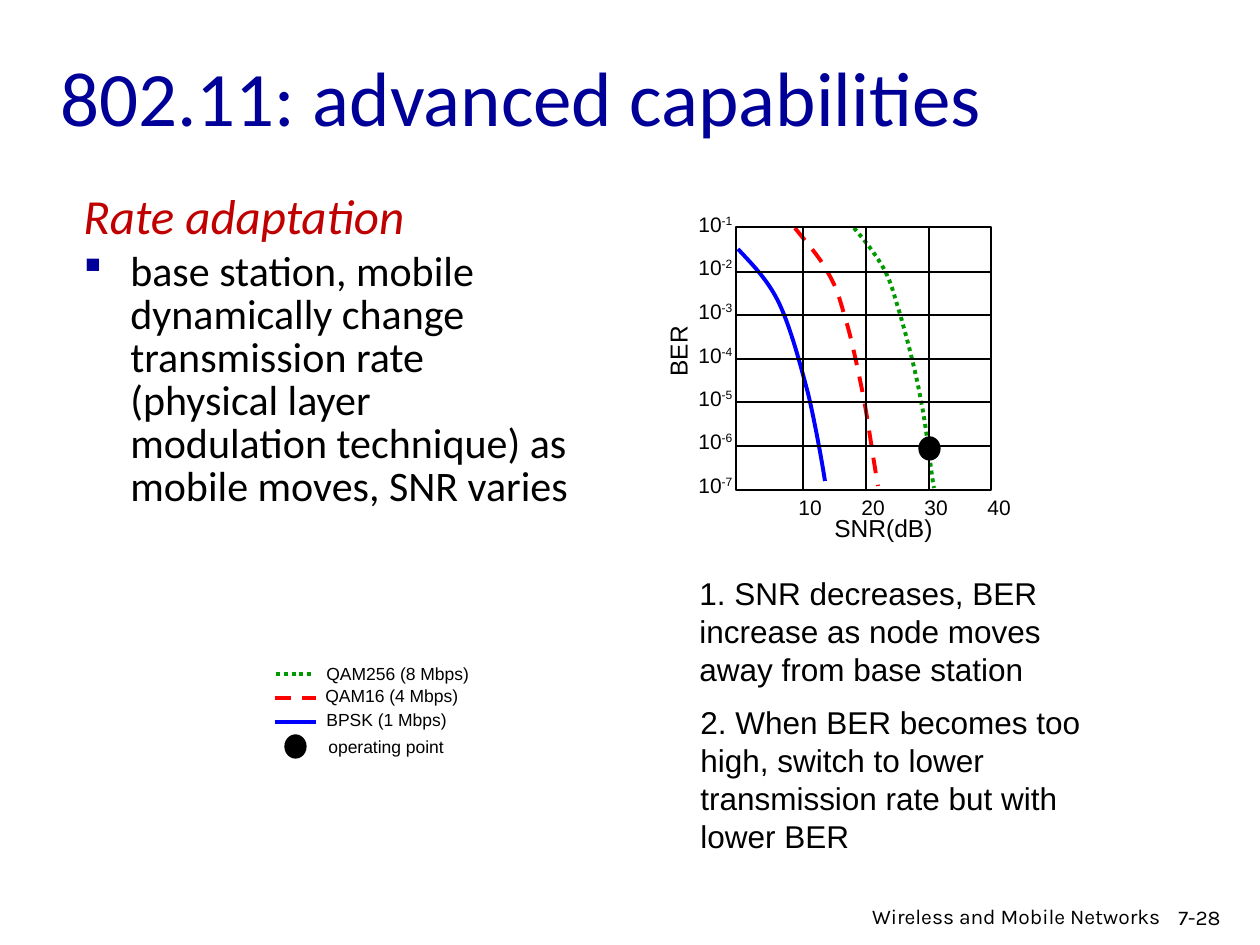
from lxml.etree import SubElement
from pptx import Presentation
from pptx.dml.color import RGBColor
from pptx.enum.dml import MSO_LINE_DASH_STYLE as Dash
from pptx.enum.shapes import MSO_CONNECTOR as Connector, MSO_SHAPE as Shape
from pptx.enum.text import MSO_ANCHOR as Anchor, MSO_AUTO_SIZE as AutoSize, PP_ALIGN as Align
from pptx.oxml.ns import qn
from pptx.util import Emu, Pt

SCALE = 914400 / 126
COLORS = {
    "title": "000099",
    "heading": "C00000",
    "text": "000000",
    "bpsk": "0000FF",
    "qam16": "FF0000",
    "qam256": "009900",
}
DASHES = {"qam16": Dash.DASH, "qam256": Dash.ROUND_DOT}
CURVES = {
    "bpsk": [(738, 249), (753, 265), (769, 281), (780, 305), (791, 329), (800, 363),
             (808, 393), (815, 422), (823, 467), (825, 481)],
    "qam16": [(795, 228), (806, 242), (819, 256), (827, 271), (835, 285), (838, 292),
              (844, 314), (851, 335), (858, 370), (864, 399), (869, 428), (873, 457),
              (878, 486)],
    "qam256": [(854, 228), (866, 242), (877, 256), (885, 271), (892, 285), (893, 292),
               (900, 314), (906, 335), (916, 372), (921, 401), (927, 430), (931, 474),
               (934, 488)],
}
LEGEND = [
    ("QAM256 (8 Mbps)", 314, 657, 170),
    ("QAM16 (4 Mbps)", 313, 679, 161),
    ("BPSK (1 Mbps)", 314, 703, 148),
    ("operating point", 316, 730, 144),
]
LEGEND_LINES = [("bpsk", 275, 316, 722), ("qam16", 275, 316, 698), ("qam256", 276, 314, 674)]
NOTES = [
    ("1. SNR decreases, BER increase as node moves away from base station",
     (687, 568, 441, 126)),
    ("2. When BER becomes too high, switch to lower transmission rate but with lower BER",
     (688, 697, 441, 164)),
]
PLOT = (736, 227, 255, 263)


def px(value):
    return Emu(round(value * SCALE))


def rgb(name):
    return RGBColor.from_string(COLORS[name])


def add_run(paragraph, text, size, font="Arial", color="text", italic=False):
    run = paragraph.add_run()
    run.text = text
    run.font.size = Pt(size)
    run.font.name = font
    run.font.italic = italic
    run.font.color.rgb = rgb(color)
    return run


def add_box(slide, box, wrap=True, grow=False):
    shape = slide.shapes.add_textbox(*map(px, box))
    shape.text_frame.word_wrap = wrap
    shape.text_frame.auto_size = AutoSize.SHAPE_TO_FIT_TEXT if grow else AutoSize.NONE
    return shape


def add_label(slide, text, box, size, superscript=""):
    shape = add_box(slide, box, wrap=False, grow=True)
    paragraph = shape.text_frame.paragraphs[0]
    add_run(paragraph, text, size)
    if superscript:
        run = add_run(paragraph, superscript, size)
        run.font._element.set("baseline", "30000")
    return shape


def style_line(line, color="text", width=0.75):
    line.color.rgb = rgb(color)
    line.width = Pt(width)
    if color in DASHES:
        line.dash_style = DASHES[color]


def add_line(slide, start, end, color="text", width=0.75):
    connector = slide.shapes.add_connector(Connector.STRAIGHT, *map(px, start + end))
    style_line(connector.line, color, width)
    SubElement(connector._element.spPr, qn("a:effectLst"))


def add_curve(slide, points, color):
    builder = slide.shapes.build_freeform(*points[0], scale=SCALE)
    builder.add_line_segments(points[1:], close=False)
    shape = builder.convert_to_shape()
    shape.shadow.inherit = False
    shape.fill.background()
    style_line(shape.line, color, 2.25)
    outline = next(shape._element.iter(qn("a:path")))
    segments = outline.findall(qn("a:lnTo"))
    for first in range(0, len(segments), 3):
        curve = SubElement(outline, qn("a:cubicBezTo"))
        for segment in segments[first:first + 3]:
            curve.append(segment[0])
            outline.remove(segment)


def add_shape(slide, kind, box, filled=False):
    shape = slide.shapes.add_shape(kind, *map(px, box))
    shape.shadow.inherit = False
    style_line(shape.line)
    if filled:
        shape.fill.solid()
        shape.fill.fore_color.rgb = rgb("text")
    else:
        shape.fill.background()


def add_title(slide):
    title = slide.shapes.title
    title.left, title.top, title.width, title.height = map(px, (48, 38, 1071, 116))
    title.text_frame.vertical_anchor = Anchor.MIDDLE
    title.text_frame.word_wrap = True
    paragraph = title.text_frame.paragraphs[0]
    paragraph.alignment = Align.LEFT
    add_run(paragraph, "802.11: advanced capabilities", 44, "Calibri", "title")


def add_bullet(properties):
    bullet_color = SubElement(properties, qn("a:buClr"))
    SubElement(bullet_color, qn("a:srgbClr"), val=COLORS["title"])
    SubElement(properties, qn("a:buFont"), typeface="Wingdings", charset="2")
    SubElement(properties, qn("a:buChar"), char="§")


def add_body(slide):
    frame = add_box(slide, (71, 188, 517, 640)).text_frame
    heading, bullet = frame.paragraphs[0], frame.add_paragraph()
    for paragraph, space in ((heading, 5.6), (bullet, 4.8)):
        paragraph.line_spacing = 0.85
        paragraph.space_before = Pt(space)
        properties = paragraph._p.get_or_add_pPr()
        properties.set("marL", str(px(47)))
        properties.set("indent", str(-px(47)))
    add_bullet(bullet._p.get_or_add_pPr())
    add_run(heading, "Rate adaptation", 28, "Calibri", "heading", italic=True)
    add_run(bullet, "base station, mobile dynamically change transmission rate (physical "
            "layer modulation technique) as mobile moves, SNR varies", 24, "Calibri")


def add_plot(slide):
    for color, points in CURVES.items():
        add_curve(slide, points, color)
    left, top, width, height = PLOT
    add_shape(slide, Shape.RECTANGLE, PLOT)
    for row in range(5):
        y = round(272 + 43.4 * row)
        add_line(slide, (left, y), (left + width, y))
    for column in range(3):
        x = 803 + 63 * column
        add_line(slide, (x, top), (x, top + height))
    for column in range(4):
        add_label(slide, str(10 * (column + 1)), (786 + 63 * column, 488, 49, 38), 12)
    for row in range(7):
        add_label(slide, "10", (686, round(205 + 43.5 * row), 60, 38), 12, f"-{row + 1}")
    add_label(slide, "SNR(dB)", (822, 507, 130, 42), 14)
    add_label(slide, "BER", (639, 329, 78, 42), 14).rotation = 270
    add_shape(slide, Shape.OVAL, (919, 437, 21, 23), filled=True)


def add_legend(slide):
    for color, start, end, y in LEGEND_LINES:
        add_line(slide, (start, y), (end, y), color, 2.25)
    add_shape(slide, Shape.OVAL, (285, 735, 21, 23), filled=True)
    for text, left, top, width in LEGEND:
        add_label(slide, text, (left, top, width, 34), 10)


def add_notes_and_footer(slide):
    for text, box in NOTES:
        shape = add_box(slide, box, grow=True)
        add_run(shape.text_frame.paragraphs[0], text, 18)
    number = add_box(slide, (1166, 898, 94, 38)).text_frame.paragraphs[0]
    add_run(number, "7-28", 12, "Karla")
    footer = add_box(slide, (806, 897, 372, 35)).text_frame.paragraphs[0]
    footer.alignment = Align.RIGHT
    add_run(footer, "Wireless and Mobile Networks ", 12, "Karla")


def main():
    presentation = Presentation()
    presentation.slide_width, presentation.slide_height = px(1260), px(945)
    slide = presentation.slides.add_slide(presentation.slide_layouts[5])
    add_title(slide)
    add_body(slide)
    add_plot(slide)
    add_legend(slide)
    add_notes_and_footer(slide)
    presentation.save("out.pptx")


main()
